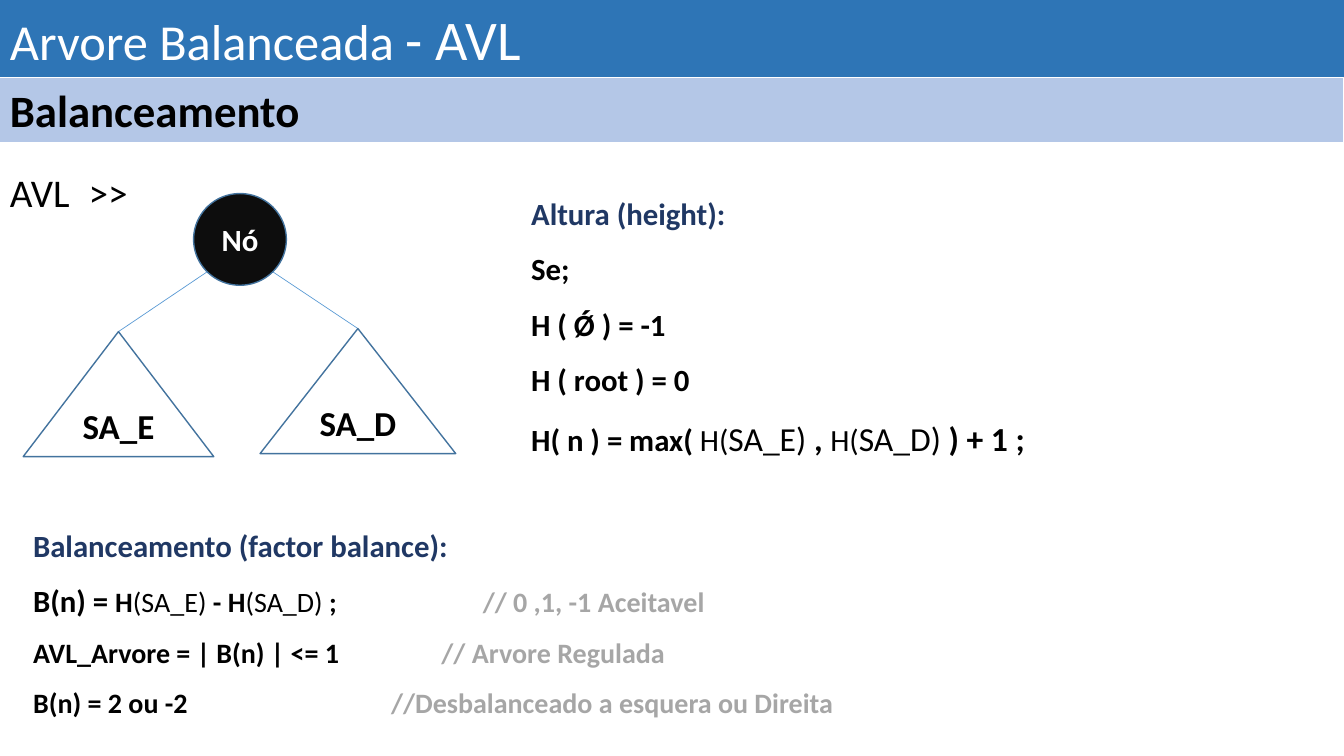
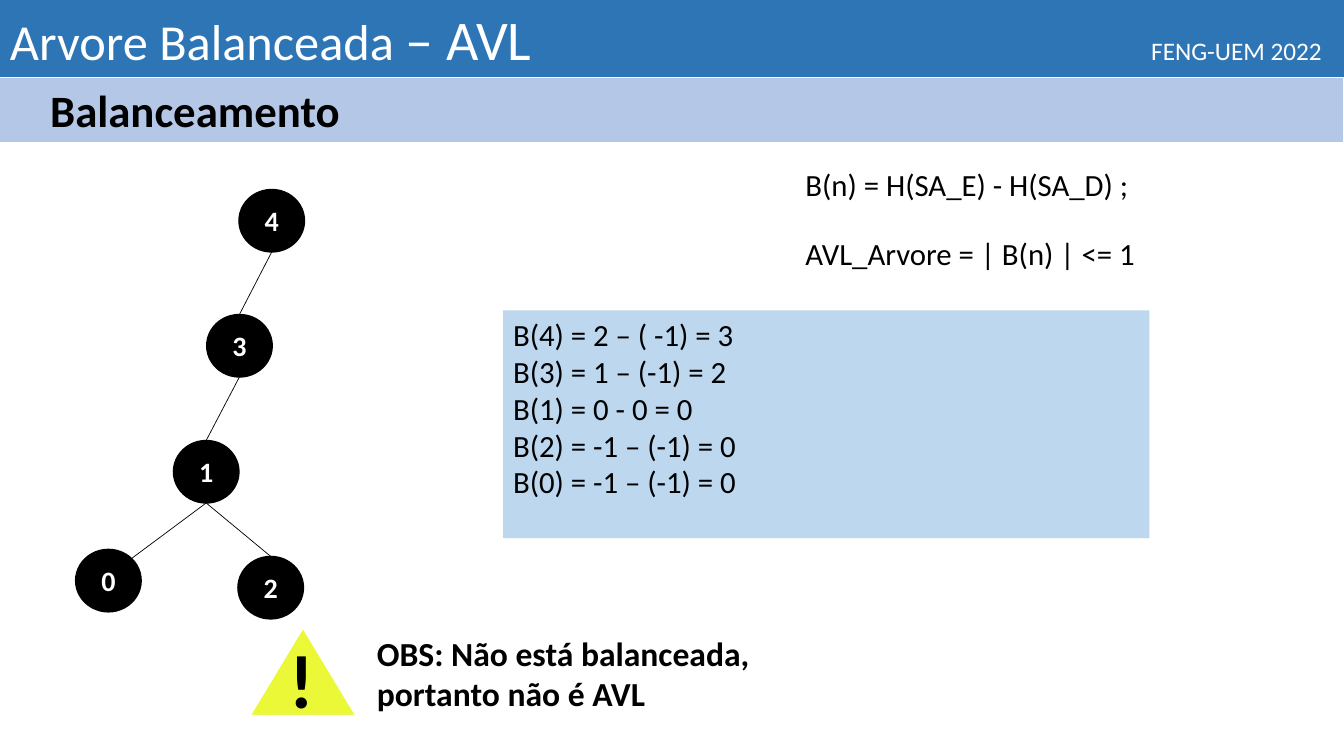
"""Build two slides on the balance of AVL trees."""
from dataclasses import dataclass
from math import cos, radians, sin
from typing import NamedTuple, Optional

from lxml import etree
from pptx import Presentation
from pptx.dml.color import RGBColor
from pptx.enum.shapes import MSO_CONNECTOR, MSO_SHAPE
from pptx.enum.text import MSO_ANCHOR, PP_ALIGN
from pptx.oxml.ns import qn
from pptx.util import Inches, Pt

RECT = MSO_SHAPE.RECTANGLE
OVAL = MSO_SHAPE.OVAL
CONE = MSO_SHAPE.ISOSCELES_TRIANGLE
LINE = MSO_CONNECTOR.STRAIGHT
TOP, MID = MSO_ANCHOR.TOP, MSO_ANCHOR.MIDDLE
LEFT, CENTER = PP_ALIGN.LEFT, PP_ALIGN.CENTER

BLACK = RGBColor(0x00, 0x00, 0x00)
WHITE = RGBColor(0xFF, 0xFF, 0xFF)
INK = RGBColor(0x0D, 0x0D, 0x0D)
BLUE = RGBColor(0x2E, 0x75, 0xB6)
PALE = RGBColor(0xB4, 0xC7, 0xE7)
SKY = RGBColor(0xBD, 0xD7, 0xEE)
NAVY = RGBColor(0x20, 0x38, 0x64)
STEEL = RGBColor(0x43, 0x73, 0x9E)
THREAD = RGBColor(0x5B, 0x9B, 0xD5)
GRAY = RGBColor(0xA6, 0xA6, 0xA6)
YELLOW = RGBColor(0xEA, 0xF8, 0x38)

FONT = "Calibri"
WIDE, HIGH = 13.33, 7.5
BAND, STRIP = 0.77, 0.64


class Box(NamedTuple):
    """Place and size in inches."""
    x: float
    y: float
    w: float
    h: float


class Point(NamedTuple):
    """Spot in inches."""
    x: float
    y: float


class Run(NamedTuple):
    """Text with one format."""
    text: str
    size: float = 22
    bold: bool = False
    color: RGBColor = BLACK


@dataclass
class Para:
    """Runs with their spacing, tab stop and indent."""
    runs: list[Run]
    lead: float = 1.0
    before: float = 0
    tab: float = 0
    indent: float = 0


@dataclass
class Look:
    """Fill and outline of a shape."""
    fill: RGBColor
    line: Optional[RGBColor] = None
    width: float = 1


def write(frame, paras: list[Para], align=LEFT, anchor=TOP, wrap: bool = True) -> None:
    """Fill a text frame with paragraphs."""
    frame.word_wrap = wrap
    frame.vertical_anchor = anchor
    for i, item in enumerate(paras):
        para = frame.paragraphs[0] if i == 0 else frame.add_paragraph()
        form = {"alignment": align, "line_spacing": item.lead}
        if i and item.before:
            form["space_before"] = Pt(item.before)
        for name, value in form.items():
            setattr(para, name, value)
        props = para._p.get_or_add_pPr()
        if item.indent:
            props.set("marL", str(Inches(item.indent)))
        if item.tab:
            stops = etree.SubElement(props, qn("a:tabLst"))
            etree.SubElement(stops, qn("a:tab"), pos=str(Inches(item.tab)), algn="l")
        for part in item.runs:
            run = para.add_run()
            run.text = part.text
            form = {"name": FONT, "size": Pt(part.size), "bold": part.bold}
            for name, value in form.items():
                setattr(run.font, name, value)
            run.font.color.rgb = part.color


def note(slide, box: Box, paras: list[Para]) -> None:
    """Add a text box."""
    write(slide.shapes.add_textbox(*map(Inches, box)).text_frame, paras)


def draw(slide, kind, box: Box, look: Look):
    """Add a preset shape and return it."""
    shape = slide.shapes.add_shape(kind, *map(Inches, box))
    shape.shadow.inherit = False
    shape.fill.solid()
    shape.fill.fore_color.rgb = look.fill
    if look.line is None:
        shape.line.fill.background()
    else:
        shape.line.color.rgb = look.line
        shape.line.width = Pt(look.width)
    return shape


def panel(slide, box: Box, look: Look, paras: list[Para]) -> None:
    """Add a filled box with text."""
    write(draw(slide, RECT, box, look).text_frame, paras)


def node(slide, kind, box: Box, look: Look, label: Run) -> None:
    """Add a tree part with a centred label."""
    frame = draw(slide, kind, box, look).text_frame
    write(frame, [Para([label])], CENTER, MID, False)


def link(slide, start: Point, end: Point, color: RGBColor) -> None:
    """Join two points with a thin line."""
    line = slide.shapes.add_connector(LINE, *map(Inches, (*start, *end)))
    line.line.color.rgb = color
    line.line.width = Pt(0.5)
    etree.SubElement(line._element.spPr, qn("a:effectLst"))


def rim(box: Box, angle: float) -> Point:
    """Find the point of an ellipse at an angle, clockwise from the right."""
    turn = radians(angle)
    return Point(box.x + box.w / 2 * (1 + cos(turn)), box.y + box.h / 2 * (1 + sin(turn)))


def header(slide, title: list[Run], indent: float = 0, tab: float = 0) -> None:
    """Add the title band and the topic strip."""
    panel(slide, Box(0, 0, WIDE, BAND), Look(BLUE), [Para(title, tab=tab)])
    topic = Para([Run("Balanceamento", 32, True)], indent=indent)
    panel(slide, Box(0, BAND, WIDE, STRIP), Look(PALE, WHITE, 0.75), [topic])


def theory(slide) -> None:
    """Draw the definitions of height and balance."""
    header(slide, [Run("Arvore Balanceada ", 36, color=WHITE), Run("- AVL", 40, color=WHITE)])
    note(slide, Box(0, 1.67, 12.42, 5.09), [Para([Run("AVL\t>>", 28)], 0.9, tab=0.78)])

    root = Box(1.92, 1.92, 0.92, 0.91)
    node(slide, OVAL, root, Look(INK, STEEL), Run("Nó", 22, True, WHITE))
    trees = [
        ("SA_E", Box(0.23, 3.29, 1.89, 1.24), 135),
        ("SA_D", Box(2.58, 3.26, 1.94, 1.24), 45),
    ]
    for name, box, angle in trees:
        link(slide, rim(root, angle), Point(box.x + box.w / 2, box.y), THREAD)
        node(slide, CONE, box, Look(WHITE, STEEL), Run(name, 25, True))

    rules = [Para([Run(text, 22, True)], 1.5) for text in ("Se;", "H ( Ǿ ) = -1", "H ( root ) = 0")]
    depth = [
        Run("H( n ) = max( ", 22, True), Run("H("), Run("SA_E)", 24), Run(" , ", 24, True),
        Run("H("), Run("SA_D) ", 24), Run(") + 1 ;", 24, True),
    ]
    note(slide, Box(5.17, 1.88, 6.8, 3.11), [
        Para([Run("Altura (height):", 22, True, NAVY)]), *rules, Para(depth, 1.5),
    ])

    factor = [
        Run("B(n) = ", 22, True), Run("H", 20, True), Run("(SA_E)", 20), Run(" - H", 20, True),
        Run("(SA_D) ", 20), Run(";", 20, True),
    ]
    rows = [
        (factor, "// 0 ,1, -1 Aceitavel", 4.46),
        ([Run("AVL_Arvore = | B(n) | <= 1", 20, True)], "// Arvore Regulada", 4.05),
        ([Run("B(n) = 2 ou -2", 20, True)], "//Desbalanceado a esquera ou Direita", 3.55),
    ]
    note(slide, Box(0.23, 4.99, 8.28, 2.22), [
        Para([Run("Balanceamento (factor balance):", 22, True, NAVY)], 1.5),
        *(Para([*runs, Run("\t" + hint, 20, True, GRAY)], 1.5, tab=tab) for runs, hint, tab in rows),
    ])


def example(slide) -> None:
    """Draw a tree that is out of balance."""
    header(slide, [
        Run("Arvore Balanceada ", 36, color=WHITE), Run("– AVL", 40, color=WHITE),
        Run("\tFENG-UEM 2022", 18, color=WHITE),
    ], 0.4, 11.32)
    rules = ("B(n) = H(SA_E) - H(SA_D) ;", "AVL_Arvore = | B(n) | <= 1")
    note(slide, Box(7.89, 1.41, 5.27, 1.35), [Para([Run(text)], 1.5, 10) for text in rules])

    spots = {"4": (2.37, 1.88), "3": (2.05, 3.12), "1": (1.72, 4.37),
             "0": (0.75, 5.45), "2": (2.36, 5.52)}
    nodes = {key: Box(*spot, 0.65, 0.62) for key, spot in spots.items()}
    for key, box in nodes.items():
        node(slide, OVAL, box, Look(BLACK, BLACK), Run(key, 20, True, WHITE))
    for top, low, angle in (("4", "3", 270), ("3", "1", 270), ("1", "0", 315), ("1", "2", 270)):
        link(slide, rim(nodes[top], 90), rim(nodes[low], angle), BLACK)

    sums = ("B(4) = 2 – ( -1) = 3", "B(3) = 1 – (-1) = 2", "B(1) = 0 - 0 = 0",
            "B(2) = -1 – (-1) = 0", "B(0) = -1 – (-1) = 0")
    panel(slide, Box(4.99, 3.08, 6.41, 2.26), Look(SKY), [Para([Run(text)]) for text in sums])

    draw(slide, CONE, Box(2.48, 6.23, 1.05, 0.87), Look(YELLOW, WHITE))
    note(slide, Box(2.77, 6.23, 0.49, 1.01), [Para([Run("!", 54, True)])])
    alert = Run("OBS: Não está balanceada, portanto não é AVL", 24, True)
    note(slide, Box(3.64, 6.23, 4.26, 0.91), [Para([alert])])


def main() -> None:
    """Build and save the deck."""
    deck = Presentation()
    deck.slide_width, deck.slide_height = Inches(WIDE), Inches(HIGH)
    for build in (theory, example):
        build(deck.slides.add_slide(deck.slide_layouts[6]))
    deck.save("out.pptx")


if __name__ == "__main__":
    main()
